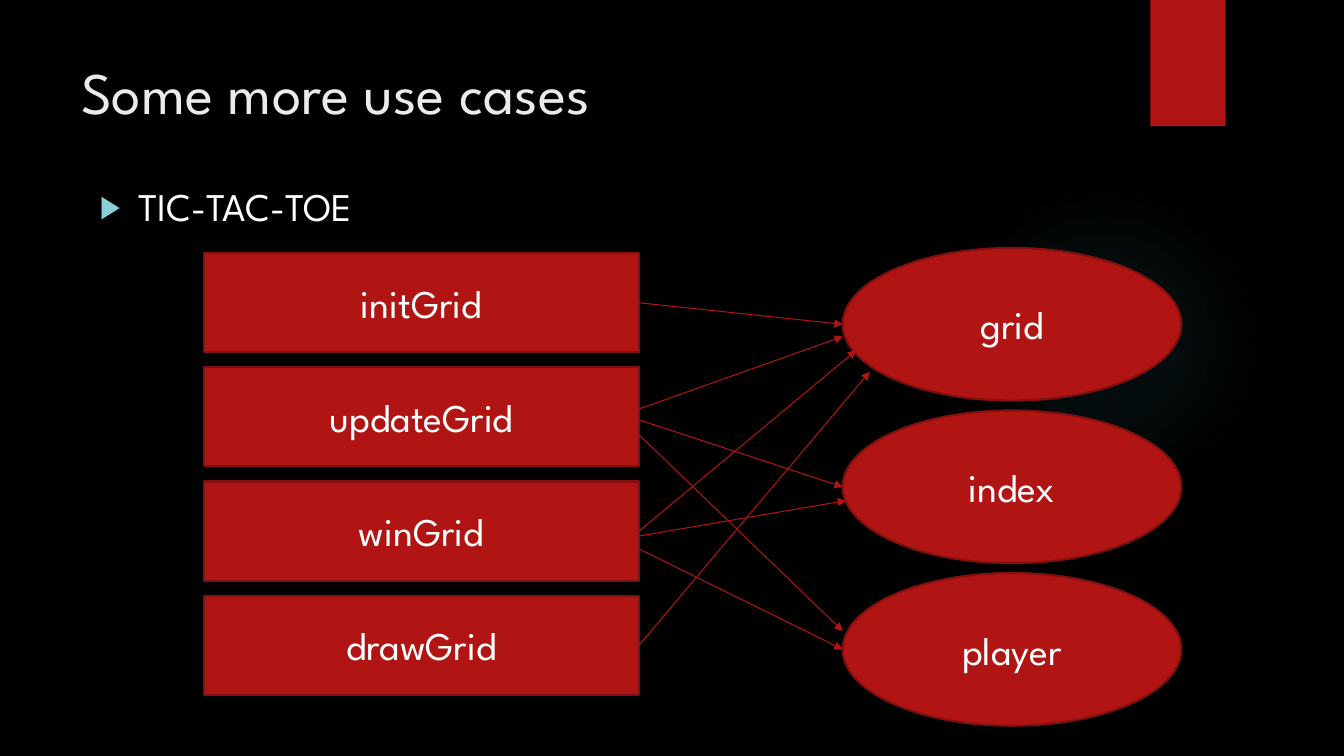
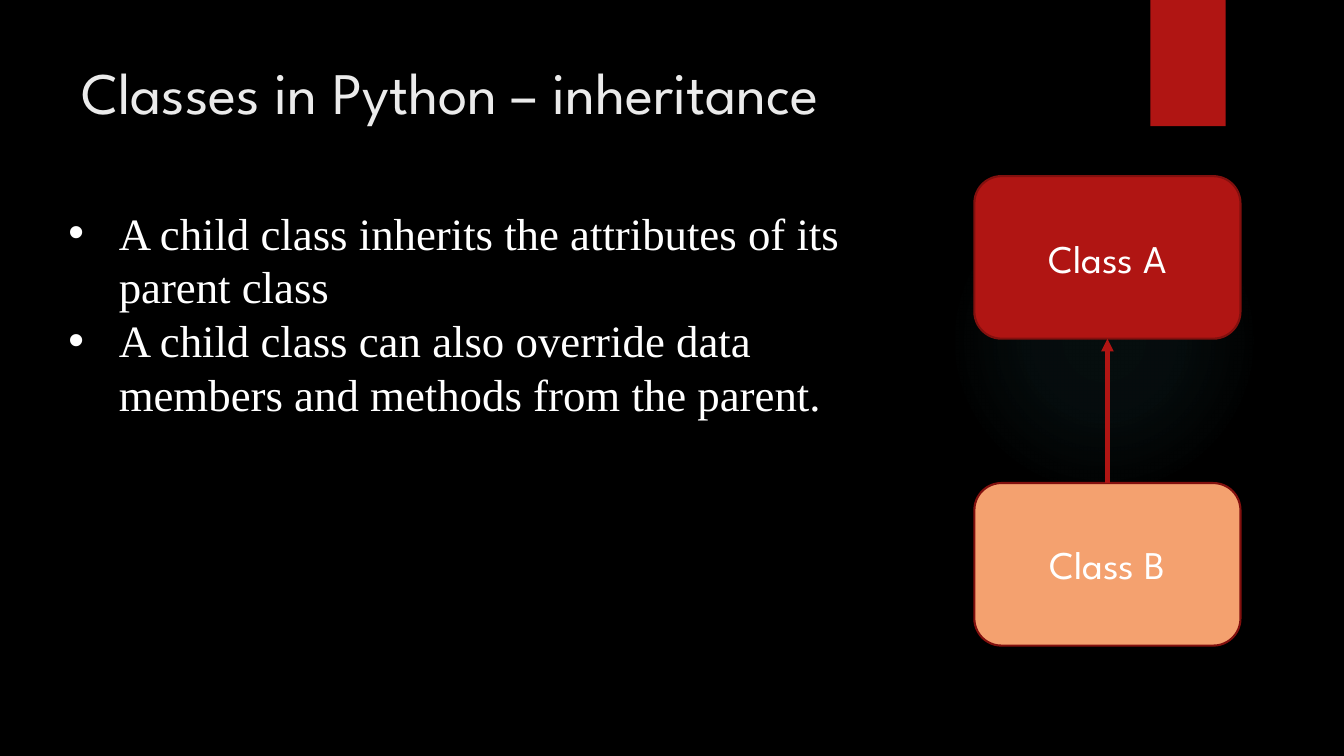
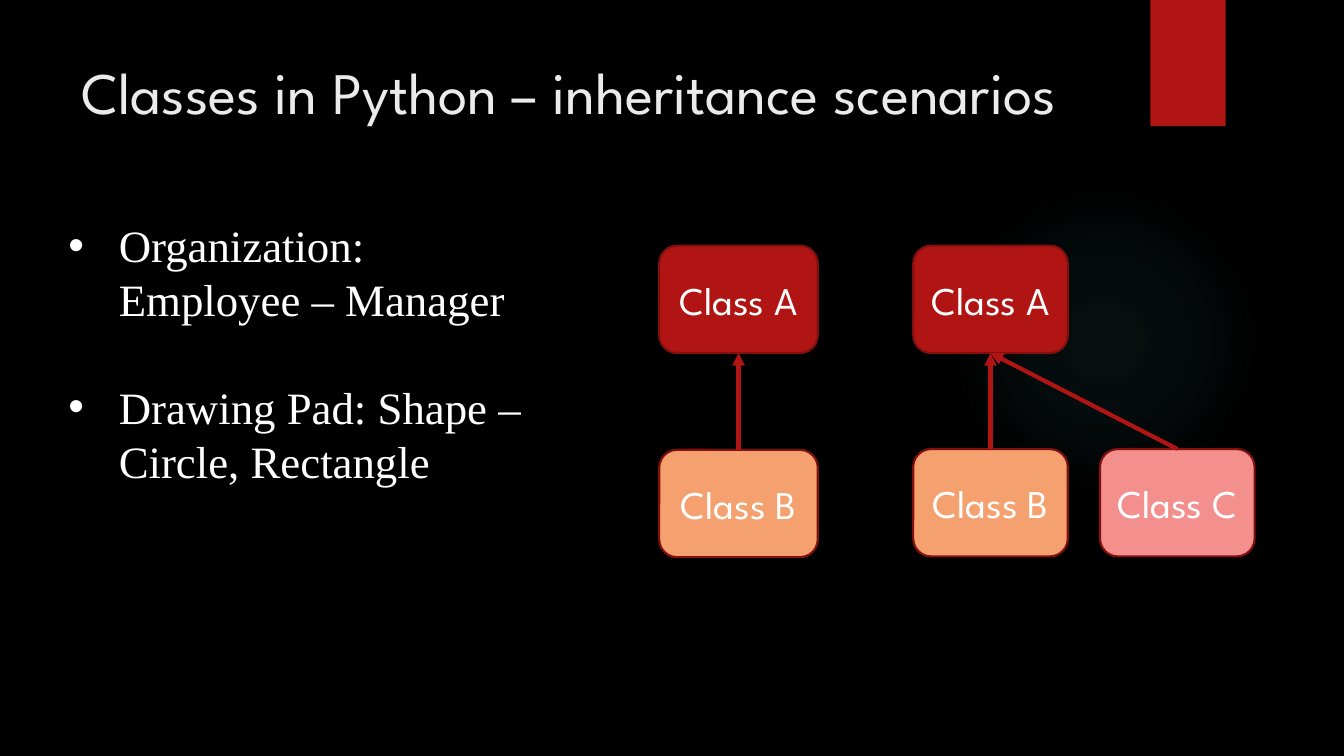
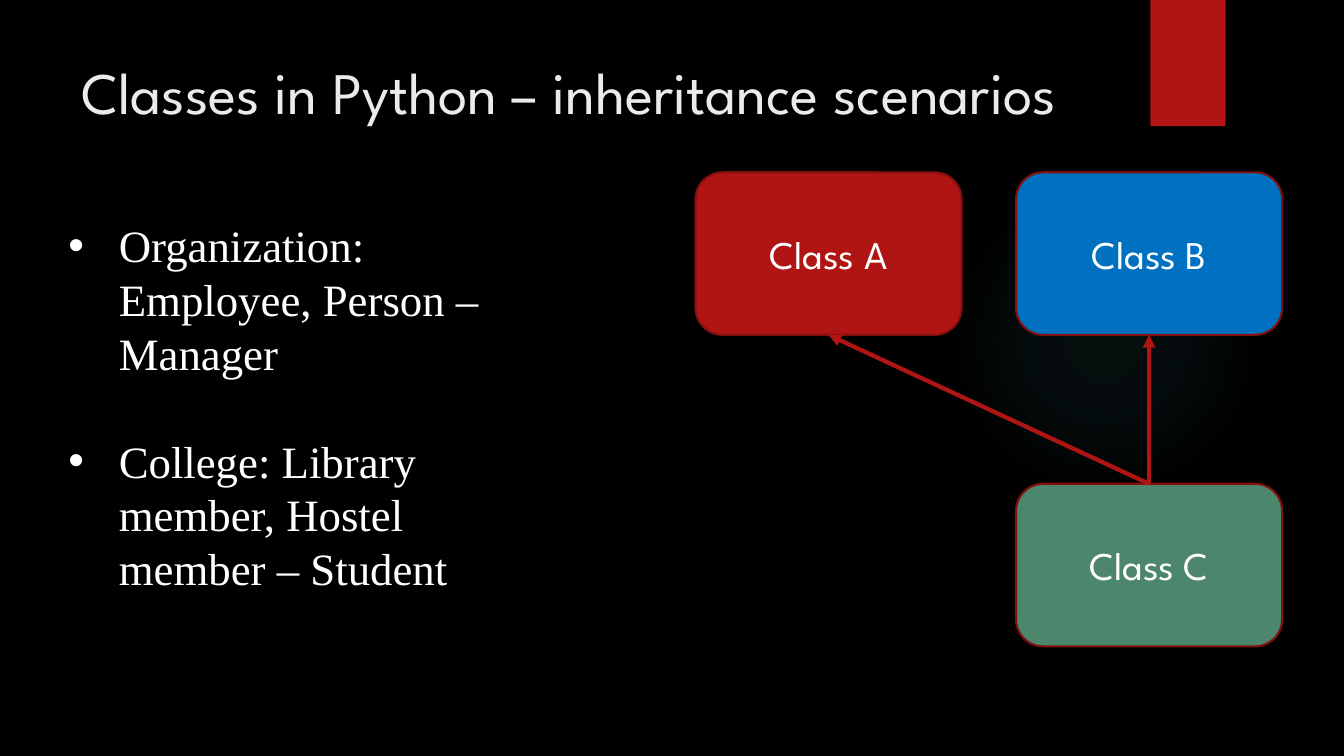
import pptx
import pptx.util
import pptx.dml.color
import pptx.enum.shapes
import pptx.enum.text
import pptx.oxml.ns
from lxml import etree

WIDE, HIGH = pptx.util.Inches(13.33), pptx.util.Inches(7.5)
HEX = {
    "back": "000000", "title": "EBEBEB", "text": "FFFFFF", "red": "B01513",
    "edge": "82100E", "glow": "50B9C1", "mark": "8AD0D6", "peach": "F4A16F",
    "pink": "F38F8D", "blue": "0070C0", "green": "4B866D",
}
SANS, SERIF = "League Spartan", "Times New Roman"
KIND = pptx.enum.shapes.MSO_SHAPE
qn = pptx.oxml.ns.qn


def tint(name):
    return pptx.dml.color.RGBColor.from_string(HEX[name])


def place(box):
    """Turn left, top, width, height in percent of the slide into lengths."""
    return [int(full * part / 100) for full, part in zip((WIDE, HIGH) * 2, box)]


def node(parent, tag, **attrs):
    return etree.SubElement(parent, qn(tag), attrs)


def style(para, size, face=SANS, color="text"):
    para.font.size = pptx.util.Pt(size)
    para.font.name = face
    para.font.color.rgb = tint(color)


def bullet(para, mark, indent, color=None, size=None):
    props = para._p.get_or_add_pPr()
    step = pptx.util.Inches(indent)
    props.set("marL", str(step))
    props.set("indent", str(-step))
    if color:
        node(node(props, "a:buClr"), "a:srgbClr", val=HEX[color])
    if size:
        node(props, "a:buSzPct", val=str(size * 1000))
    node(props, "a:buFont", typeface="Arial")
    node(props, "a:buChar", char=mark)


def frame(slide, box):
    text = slide.shapes.add_textbox(*place(box)).text_frame
    text.word_wrap = True
    return text


def block(slide, kind, box, fill, label=None):
    """Draw a filled shape, outlined and labelled if it has a label."""
    shape = slide.shapes.add_shape(kind, *place(box))
    shape.shadow.inherit = False
    shape.fill.solid()
    shape.fill.fore_color.rgb = tint(fill)
    if label is None:
        shape.line.fill.background()
        return shape
    shape.line.color.rgb = tint("edge")
    shape.line.width = pptx.util.Pt(1.5)
    text = shape.text_frame
    text.word_wrap = True
    text.vertical_anchor = pptx.enum.text.MSO_ANCHOR.MIDDLE
    para = text.paragraphs[0]
    para.text = label
    para.alignment = pptx.enum.text.PP_ALIGN.CENTER
    style(para, 28)
    return shape


def arrow(slide, start, end, width):
    line = slide.shapes.add_connector(
        pptx.enum.shapes.MSO_CONNECTOR.STRAIGHT, *start, *end)
    line.line.color.rgb = tint("red")
    line.line.width = pptx.util.Pt(width)
    node(line.line._get_or_add_ln(), "a:tailEnd", type="triangle")
    node(line._element.spPr, "a:effectLst")
    return line


def point(shape, across, down):
    """Find the point at these shares of a shape's width and height."""
    return (int(shape.left + shape.width * across),
            int(shape.top + shape.height * down))


def glow(slide, box):
    shape = block(slide, KIND.OVAL, box, "glow")
    solid = shape._element.spPr.find(qn("a:solidFill"))
    grad = etree.Element(qn("a:gradFill"), rotWithShape="1")
    stops = node(grad, "a:gsLst")
    for spot, alpha in ((0, 7), (36, 6), (69, 0), (100, 0)):
        stop = node(stops, "a:gs", pos=str(spot * 1000))
        color = node(stop, "a:srgbClr", val=HEX["glow"])
        node(color, "a:alpha", val=str(alpha * 1000))
    node(node(grad, "a:path", path="circle"), "a:fillToRect",
         l="50000", t="50000", r="50000", b="50000")
    solid.getparent().replace(solid, grad)


def page(deck, title):
    """Add a slide with the shared glow, red tab and title."""
    slide = deck.slides.add_slide(deck.slide_layouts[6])
    glow(slide, (70.6, 24.4, 23.1, 41.1))
    block(slide, KIND.RECTANGLE, (85.6, 0, 5.6, 16.7), "red")
    para = frame(slide, (5.3, 6.7, 77.2, 20.4)).paragraphs[0]
    para.text = title
    style(para, 42, color="title")
    return slide


def topic(slide, box, label):
    para = frame(slide, box).paragraphs[0]
    para.text = label
    bullet(para, "▶", 0.38, "mark", 80)
    style(para, 28)


def points(slide, box, items, gap=0):
    text = frame(slide, box)
    for i, item in enumerate(items):
        para = text.add_paragraph() if i else text.paragraphs[0]
        para.text = item
        para.line_spacing = pptx.util.Pt(38.4)
        para.space_before = pptx.util.Pt(gap if i else 0)
        bullet(para, "•", 0.5)
        style(para, 32, SERIF)


def stack(slide, kind, box, gap, labels):
    """Fill a box with equal shapes, one below the other."""
    left, top, width, height = box
    tall = (height - gap * (len(labels) - 1)) / len(labels)
    return {
        label: block(slide, kind, (left, top + i * (tall + gap), width, tall),
                     "red", label)
        for i, label in enumerate(labels)
    }


def usage(slide, jobs, things, links):
    """Draw arrows from jobs' right sides to spots on the things they use."""
    for job, leave, thing, across, down in links:
        start = point(jobs[job], 1, leave)
        line = arrow(slide, start, point(things[thing], across, down), 0.75)
        if leave == 0.5:
            line.begin_connect(jobs[job], 3)


def family(slide, box, size, classes, links):
    """Place classes at the corners of a box and link children to parents."""
    left, top, width, height = box
    wide, tall = size
    made = {}
    for name, fill, col, row in classes:
        spot = (left + col * (width - wide), top + row * (height - tall))
        made[name] = block(slide, KIND.ROUNDED_RECTANGLE, spot + size, fill,
                           "Class " + name)
    for child, parent in links:
        line = arrow(slide, point(made[child], 0.5, 0),
                     point(made[parent], 0.5, 1), 3)
        line.begin_connect(made[child], 0)
        line.end_connect(made[parent], 2)


def main():
    deck = pptx.Presentation()
    deck.slide_width, deck.slide_height = WIDE, HIGH
    back = deck.slide_master.background.fill
    back.solid()
    back.fore_color.rgb = tint("back")

    large = (19.8, 21.5)
    pair = [("A", "red", 0, 0), ("B", "peach", 0, 1)]
    scenes = "Classes in Python – inheritance scenarios"
    side = (4.35, 28.2, 37.6, 50)

    slide = page(deck, "Some more use cases")
    topic(slide, (6.7, 23.5, 88.2, 8), "TIC-TAC-TOE")
    jobs = stack(slide, KIND.RECTANGLE, (15.15, 33.5, 32.4, 58.4), 2,
                 ["initGrid", "updateGrid", "winGrid", "drawGrid"])
    things = stack(slide, KIND.OVAL, (62.7, 32.8, 25.2, 63.2), 1.3,
                   ["grid", "index", "player"])
    usage(slide, jobs, things, [
        ("initGrid", 0.5, "grid", 0, 0.5),
        ("updateGrid", 0.42, "grid", 0, 0.58),
        ("winGrid", 0.5, "grid", 0.04, 0.67),
        ("drawGrid", 0.5, "grid", 0.08, 0.81),
        ("updateGrid", 0.53, "index", 0, 0.5),
        ("updateGrid", 0.68, "player", 0, 0.38),
        ("winGrid", 0.55, "index", 0.01, 0.59),
        ("winGrid", 0.68, "player", 0, 0.5),
    ])

    slide = page(deck, "Classes in Python – inheritance")
    family(slide, (72.5, 23.3, 19.8, 62.1), large, pair, ["BA"])
    points(slide, (4.35, 26.5, 60.3, 30), [
        "A child class inherits the attributes of its parent class",
        "A child class can also override data members and methods "
        "from the parent.",
    ])

    slide = page(deck, scenes)
    family(slide, (49.05, 32.5, 11.8, 41.2), (11.8, 14.2), pair, ["BA"])
    family(slide, (67.95, 32.5, 25.4, 41.1), (11.5, 14.2),
           pair + [("C", "pink", 1, 1)], ["CA", "BA"])
    points(slide, side, ["Organization:\vEmployee – Manager",
                         "Drawing Pad: Shape – Circle, Rectangle"], 38.4)

    slide = page(deck, scenes)
    family(slide, (51.75, 22.8, 43.65, 62.7), large,
           [("A", "red", 0, 0), ("B", "blue", 1, 0), ("C", "green", 1, 1)],
           ["CA", "CB"])
    points(slide, side, ["Organization:\vEmployee, Person – Manager",
                         "College: Library member, Hostel member – Student"],
           38.4)

    deck.save("out.pptx")


if __name__ == "__main__":
    main()
